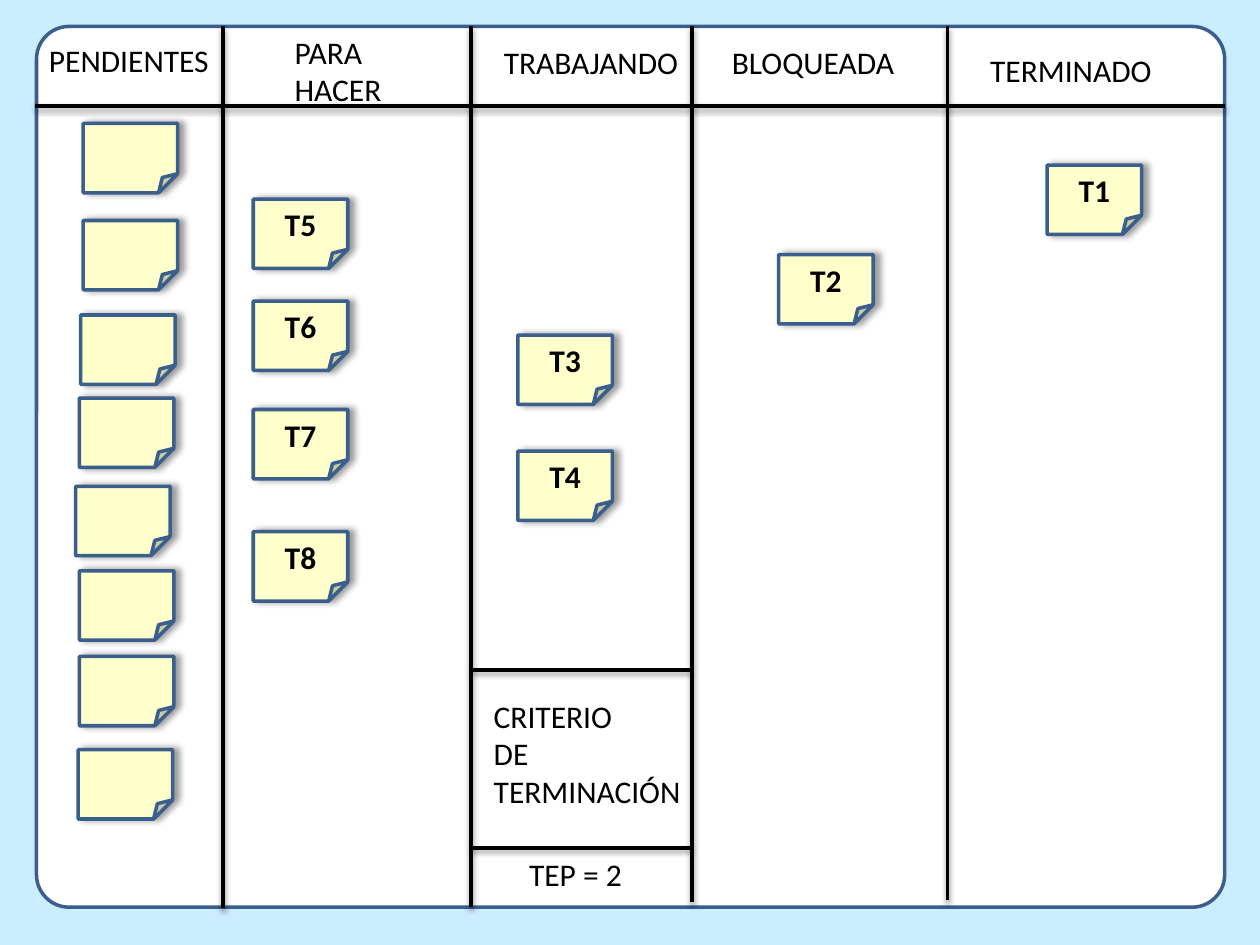
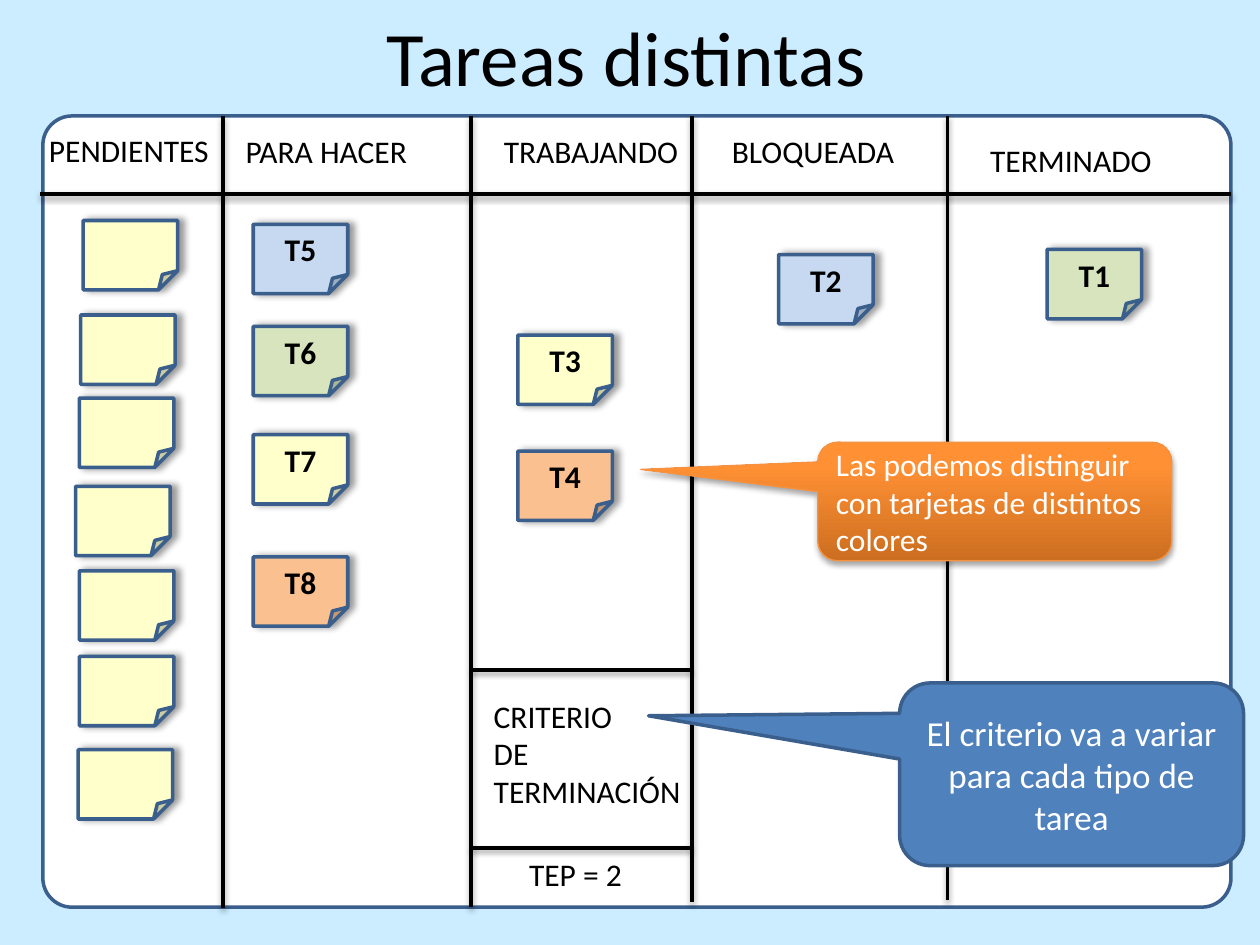
"""Build two slides with a task board: a plain one and one with cards by colour."""
from lxml.etree import SubElement
from pptx import Presentation
from pptx.dml.color import RGBColor
from pptx.enum.shapes import MSO_CONNECTOR, MSO_SHAPE
from pptx.enum.text import MSO_ANCHOR, MSO_AUTO_SIZE, PP_ALIGN
from pptx.oxml.ns import qn
from pptx.util import Inches, Pt

COLOURS = {
    "sky": "CCECFF", "white": "FFFFFF", "black": "000000", "edge": "3A5F8C",
    "yellow": "FFFFCC", "green": "D7E4BD", "blue": "C6D9F1", "orange": "FAC090",
    "callout": "4F81BD", "callout_edge": "F69240",
    "dark_orange": "CC6E20", "mid_orange": "FF9034", "light_orange": "FF9136",
}
SLIDE_SIZE = (10, 7.5)
FONT = "Calibri"
NOTE_SIZE = (0.75, 0.55)
FRAME_WIDTH, FRAME_BOTTOM = 9.43, 7.2
NOTE_SHADOW = {"alpha": 40, "blur": 4, "distance": 3, "angle": 0}
DROP_SHADOW = {"alpha": 35, "blur": 3.1, "distance": 1.8, "angle": 90}

DIVIDERS = {"para_hacer": (1.77, 7.21), "trabajando": (3.74, 7.2),
            "bloqueada": (5.49, 7.16), "terminado": (7.52, 7.14)}
NOTE_INSETS = {"para_hacer": 0.24, "trabajando": 0.37,
               "bloqueada": 0.69, "terminado": 0.79}
CRITERION_RULES = [5.32, 6.73]
SHARED_HEADERS = [("PENDIENTES", 0.29, 0.07, 1.48), ("TRABAJANDO", 3.9, 0.08, 1.6),
                  ("BLOQUEADA", 5.71, 0.08, 1.5), ("TERMINADO", 7.76, 0.15, 1.49)]
CRITERION_LABELS = [(["CRITERIO", "DE", "TERMINACIÓN"], (3.82, 5.48, 1.7, 1.01)),
                    (["TEP = 2"], (4.1, 6.74, 0.95, 0.4))]
PENDING_NOTES = [(0.66, 1.75), (0.64, 2.5), (0.63, 3.16), (0.6, 3.86),
                 (0.63, 4.53), (0.63, 5.21), (0.62, 5.95)]
TASKS = [("T1", "terminado", "green"), ("T2", "bloqueada", "blue"),
         ("T3", "trabajando", "yellow"), ("T4", "trabajando", "orange"),
         ("T5", "para_hacer", "blue"), ("T6", "para_hacer", "green"),
         ("T7", "para_hacer", "yellow"), ("T8", "para_hacer", "orange")]

BOARDS = [
    {"left": 0.29, "top": 0.21, "rule": (0.28, 9.72, 0.84), "coloured": False,
     "to_do": (["PARA", "HACER"], (2.24, 0.21, 0.9, 0.71), False),
     "pending": [(0.66, 0.98)] + PENDING_NOTES,
     "task_tops": [1.31, 2.02, 2.66, 3.58, 1.58, 2.39, 3.25, 4.22],
     "title": None, "callouts": []},
    {"left": 0.34, "top": 0.92, "rule": (0.32, 9.77, 1.54), "coloured": True,
     "to_do": (["PARA HACER"], (1.85, 1, 1.81, 0.4), True),
     "pending": PENDING_NOTES,
     "task_tops": [1.98, 2.02, 2.66, 3.58, 1.78, 2.59, 3.45, 4.42],
     "title": ("Tareas distintas", (0.64, 0.03, 8.66, 0.84)),
     "callouts": [
         {"text": "El criterio va a variar para cada tipo de tarea",
          "box": (7.14, 5.42, 2.73, 1.45), "tip": (-1.23, -0.32), "size": 20,
          "align": PP_ALIGN.CENTER, "fill": "callout", "edge": "edge", "line": 2},
         {"text": "Las podemos distinguir con tarjetas de distintos colores",
          "box": (6.49, 3.51, 2.81, 0.94), "tip": (-1, -0.27), "size": 18,
          "align": PP_ALIGN.LEFT, "edge": "callout_edge", "line": 0.75,
          "fill": [(0, "dark_orange"), (80, "mid_orange"), (100, "light_orange")],
          "shadow": DROP_SHADOW}]},
]


def colour(name):
    return RGBColor.from_string(COLOURS[name])


def set_attributes(target, values):
    for name, value in values.items():
        setattr(target, name, value)


def set_guides(shape, values):
    geometry = shape._element.spPr.find(qn("a:prstGeom"))
    for old_guides in geometry.findall(qn("a:avLst")):
        geometry.remove(old_guides)
    guides = SubElement(geometry, qn("a:avLst"))
    for number, value in enumerate(values, 1):
        name = f"adj{number}" if len(values) > 1 else "adj"
        SubElement(guides, qn("a:gd"), name=name, fmla=f"val {round(value * 100000)}")


def add_shadow(item, alpha, blur, distance, angle):
    properties = item._element.spPr
    effects = properties.find(qn("a:effectLst"))
    if effects is None:
        effects = SubElement(properties, qn("a:effectLst"))
    shadow = SubElement(effects, qn("a:outerShdw"), blurRad=str(Pt(blur)),
                        dist=str(Pt(distance)), dir=str(angle * 60000),
                        rotWithShape="0")
    shade = SubElement(shadow, qn("a:srgbClr"), val=COLOURS["black"])
    SubElement(shade, qn("a:alpha"), val=str(alpha * 1000))


def fill_gradient(shape, stops):
    shape.fill.gradient()
    gradient = shape._element.spPr.find(qn("a:gradFill"))
    for child in list(gradient):
        gradient.remove(child)
    stop_list = SubElement(gradient, qn("a:gsLst"))
    for position, name in stops:
        stop = SubElement(stop_list, qn("a:gs"), pos=str(position * 1000))
        SubElement(stop, qn("a:srgbClr"), val=COLOURS[name])
    SubElement(gradient, qn("a:lin"), ang=str(270 * 60000), scaled="0")


def write(frame, lines, size=18, ink="black", bold=False, align=PP_ALIGN.LEFT):
    for number, line in enumerate(lines):
        para = frame.paragraphs[0] if number == 0 else frame.add_paragraph()
        para.alignment = align
        span = para.add_run()
        span.text = line
        set_attributes(span.font, {"name": FONT, "size": Pt(size), "bold": bold})
        span.font.color.rgb = colour(ink)


def add_label(page, lines, box, wrap=False, **style):
    frame = page.shapes.add_textbox(*map(Inches, box)).text_frame
    set_attributes(frame, {"word_wrap": wrap,
                           "auto_size": MSO_AUTO_SIZE.SHAPE_TO_FIT_TEXT})
    write(frame, lines, **style)


def add_panel(page, kind, box, fill, guides, edge="edge", line=2, shadow=None):
    shape = page.shapes.add_shape(kind, *map(Inches, box))
    shape.shadow.inherit = False
    set_guides(shape, guides)
    if isinstance(fill, list):
        fill_gradient(shape, fill)
    else:
        shape.fill.solid()
        shape.fill.fore_color.rgb = colour(fill)
    shape.line.color.rgb = colour(edge)
    shape.line.width = Pt(line)
    if shadow:
        add_shadow(shape, **shadow)
    set_attributes(shape.text_frame, {"word_wrap": True,
                                      "vertical_anchor": MSO_ANCHOR.MIDDLE})
    return shape


def add_rule(page, *ends):
    rule = page.shapes.add_connector(MSO_CONNECTOR.STRAIGHT, *map(Inches, ends))
    rule.line.color.rgb = colour("black")
    rule.line.width = Pt(2.25)
    add_shadow(rule, **DROP_SHADOW)


def add_note(page, left, top, fill="yellow", text=None):
    note = add_panel(page, MSO_SHAPE.FOLDED_CORNER, (left, top, *NOTE_SIZE), fill,
                     [0.275], shadow=NOTE_SHADOW)
    if text:
        write(note.text_frame, [text], bold=True, align=PP_ALIGN.CENTER)


def add_grid(page, board):
    left, top = board["left"], board["top"]
    add_panel(page, MSO_SHAPE.ROUNDED_RECTANGLE,
              (left, top, FRAME_WIDTH, FRAME_BOTTOM - top), "white", [0.037])
    start, end, height = board["rule"]
    add_rule(page, start, height, end, height)
    for x, bottom in DIVIDERS.values():
        add_rule(page, x, top, x, bottom)
    for y in CRITERION_RULES:
        add_rule(page, DIVIDERS["trabajando"][0], y, DIVIDERS["bloqueada"][0], y)


def add_labels(page, board):
    lines, box, wrap = board["to_do"]
    add_label(page, lines, box, wrap)
    for text, left, drop, width in SHARED_HEADERS:
        add_label(page, [text], (left, board["top"] + drop, width, 0.4))
    for lines, box in CRITERION_LABELS:
        add_label(page, lines, box)
    if board["title"]:
        text, box = board["title"]
        add_label(page, [text], box, True, size=44, align=PP_ALIGN.CENTER)


def add_notes(page, board):
    for left, top in board["pending"]:
        add_note(page, left, top)
    for (text, column, fill), top in zip(TASKS, board["task_tops"]):
        left = DIVIDERS[column][0] + NOTE_INSETS[column]
        add_note(page, left, top, fill if board["coloured"] else "yellow", text)


def add_callout(page, callout):
    shape = add_panel(page, MSO_SHAPE.ROUNDED_RECTANGULAR_CALLOUT, callout["box"],
                      callout["fill"], [*callout["tip"], 0.167], callout["edge"],
                      callout["line"], callout.get("shadow"))
    write(shape.text_frame, [callout["text"]], callout["size"], "white",
          align=callout["align"])


def main():
    deck = Presentation()
    deck.slide_width, deck.slide_height = map(Inches, SLIDE_SIZE)
    for board in BOARDS:
        page = deck.slides.add_slide(deck.slide_layouts[6])
        page.background.fill.solid()
        page.background.fill.fore_color.rgb = colour("sky")
        add_grid(page, board)
        add_labels(page, board)
        add_notes(page, board)
        for callout in board["callouts"]:
            add_callout(page, callout)
    deck.save("out.pptx")


if __name__ == "__main__":
    main()
